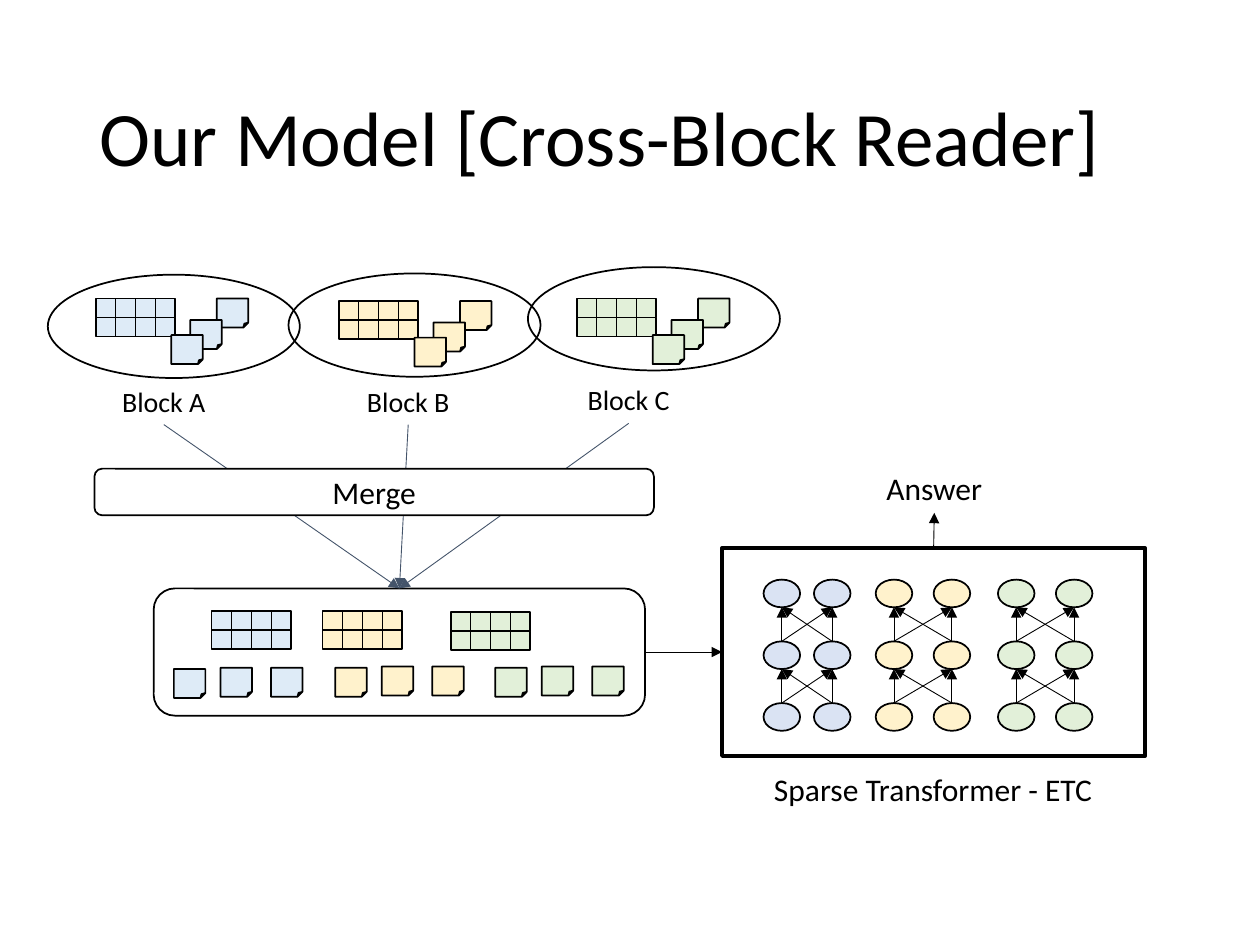
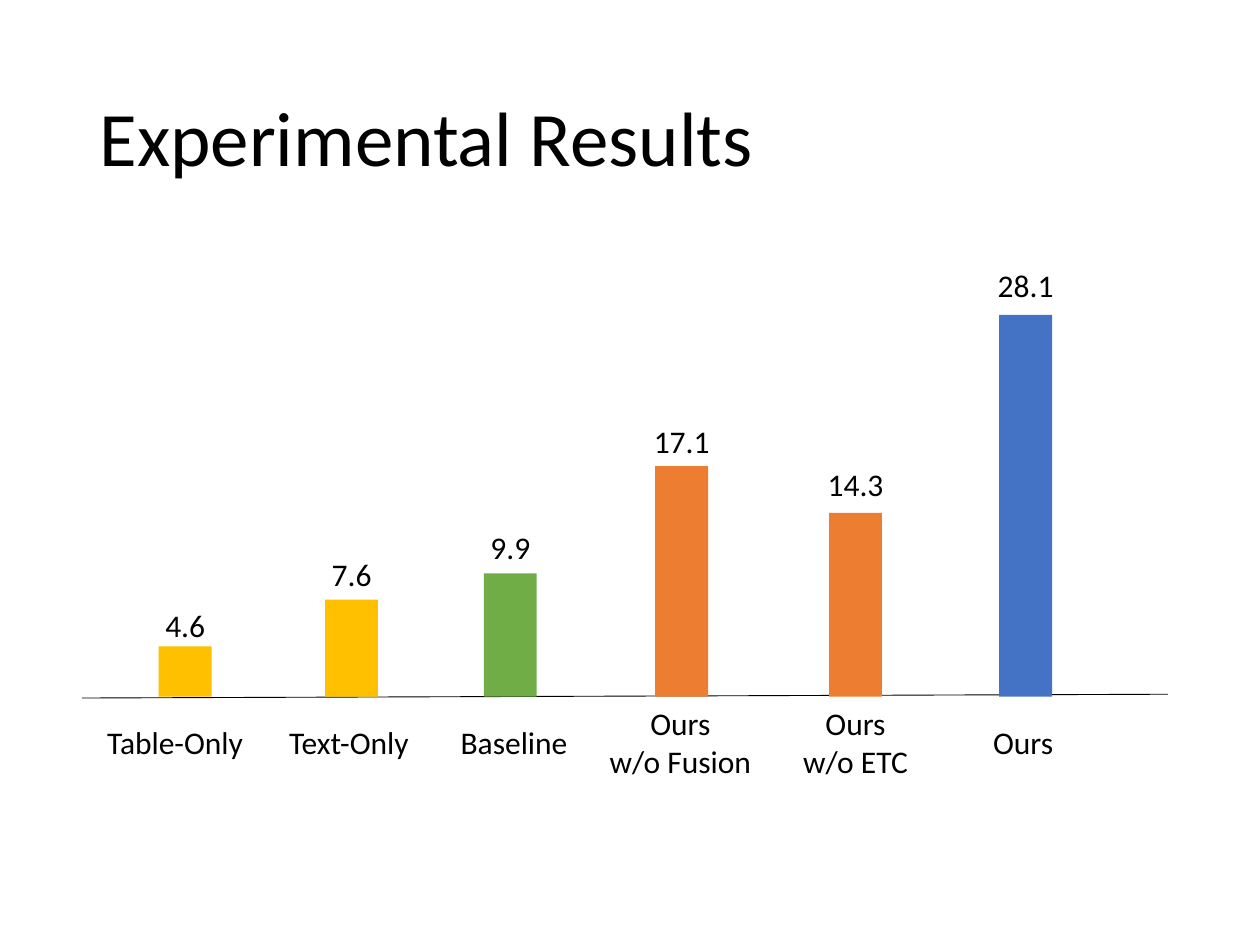
from collections import namedtuple
from itertools import product

from lxml import etree
from pptx import Presentation
from pptx.dml.color import RGBColor
from pptx.enum import shapes, text
from pptx.oxml.ns import qn
from pptx.util import Inches, Pt

BLACK = RGBColor(0, 0, 0)
WHITE = RGBColor(255, 255, 255)
SLATE = RGBColor(0x44, 0x54, 0x6A)
BLUE_TINT = RGBColor(0xDE, 0xEB, 0xF7)
NEURON_BLUE = RGBColor(0xDA, 0xE3, 0xF3)
YELLOW_TINT = RGBColor(0xFF, 0xF2, 0xCC)
GREEN_TINT = RGBColor(0xE2, 0xF0, 0xD9)
GOLD = RGBColor(0xFF, 0xC0, 0x00)
GREEN = RGBColor(0x70, 0xAD, 0x47)
ORANGE = RGBColor(0xED, 0x7D, 0x31)
BLUE = RGBColor(0x44, 0x72, 0xC4)

FONT = "Calibri"
TITLE_SIZE, LABEL_SIZE, BLOCK_LABEL_SIZE = 44, 18, 16
TITLE_AREA = (0.69, 0.4, 8.62, 1.45)
LINE_H = 0.4
TOP, LEFT, BOTTOM, RIGHT = range(4)
SHAPE = shapes.MSO_SHAPE
ALIGN = text.PP_ALIGN
MIDDLE = text.MSO_ANCHOR.MIDDLE

MODEL_TITLE = "Our Model [Cross-Block Reader]"
Block = namedtuple("Block", "name color grid oval label merged_grid merged_notes")
BLOCKS = [
    Block("Block A", BLUE_TINT, grid=(0.76, 2.37), oval=(0.38, 2.18), label=(0.87, 3),
          merged_grid=(1.68, 4.85), merged_notes=(1.38, 5.31)),
    Block("Block B", YELLOW_TINT, grid=(2.69, 2.39), oval=(2.29, 2.17), label=(2.81, 3),
          merged_grid=(2.56, 4.85), merged_notes=(2.66, 5.3)),
    Block("Block C", GREEN_TINT, grid=(4.58, 2.37), oval=(4.19, 2.12), label=(4.56, 2.99),
          merged_grid=(3.58, 4.86), merged_notes=(3.93, 5.3)),
]
OVAL_SIZE = (2, 0.82)
BLOCK_LABEL_SIZE_IN = (0.86, 0.37)
NOTE_SIZE = (0.25, 0.23)
STACKED_NOTES = [(0.96, 0), (0.75, 0.17), (0.6, 0.29)]
ROW_OF_NOTES = [(0.77, -0.01), (0.37, -0.01), (0, 0)]
GRID_W, GRID_ROW_H, GRID_COLUMNS = 0.63, 0.15, 4

MERGE_AREA = (0.75, 3.72, 4.44, 0.37)
MERGED_AREA = (1.22, 4.67, 3.9, 1.01)
TRANSFORMER_AREA = (5.73, 4.35, 3.36, 1.65)
TRANSFORMER_LABEL_AREA = (6.03, 6.06, 2.75, LINE_H)
ANSWER_AREA = (6.93, 3.67, 0.97, LINE_H)

NEURON_PAIRS = [
    (NEURON_BLUE, (6.06, 6.46)),
    (YELLOW_TINT, (6.95, 7.41)),
    (GREEN_TINT, (7.92, 8.38)),
]
NEURON_W, NEURON_H = 0.29, 0.22
NEURON_BOTTOM_ROW, NEURON_ROW_STEP, NEURON_ROW_COUNT = 5.58, 0.49, 3

RESULTS_TITLE = "Experimental Results"
Bar = namedtuple("Bar", "name value color left top value_top name_center name_w")
BARS = [
    Bar(["Table-Only"], "4.6", GOLD, 1.26, 5.13, 4.76, 1.39, 1.29),
    Bar(["Text-Only"], "7.6", GOLD, 2.58, 4.76, 4.36, 2.77, 1.16),
    Bar(["Baseline"], "9.9", GREEN, 3.84, 4.55, 4.14, 4.08, 1.06),
    Bar(["Ours", "w/o Fusion"], "17.1", ORANGE, 5.2, 3.7, 3.3, 5.4, 1.34),
    Bar(["Ours", "w/o ETC"], "14.3", ORANGE, 6.58, 4.07, 3.64, 6.79, 1.04),
    Bar(["Ours"], "28.1", BLUE, 7.93, 2.5, 2.06, 8.12, 0.68),
]
BAR_W, BAR_BOTTOM = 0.42, 5.53
AXIS_START, AXIS_END = (0.65, 5.54), (9.27, 5.51)
VALUE_W = 0.65
NAME_MIDDLE, NAME_LINE_H, NAME_PADDING = 5.89, 0.3, 0.1


def add_text(tf, lines, size, align):
    for i, line in enumerate(lines):
        p = tf.add_paragraph() if i else tf.paragraphs[0]
        p.alignment = align
        r = p.add_run()
        r.text = line
        r.font.size = Pt(size)
        r.font.name = FONT
        r.font.color.rgb = BLACK


def add_slide(prs, title):
    s = prs.slides.add_slide(prs.slide_layouts[5])
    sp = s.shapes.title
    sp.left, sp.top, sp.width, sp.height = map(Inches, TITLE_AREA)
    tf = sp.text_frame
    tf.vertical_anchor = MIDDLE
    add_text(tf, [title], TITLE_SIZE, ALIGN.LEFT)
    tf.paragraphs[0].line_spacing = 0.9
    return s


def add_label(parent, lines, area, size=LABEL_SIZE):
    sp = parent.add_textbox(*map(Inches, area))
    tf = sp.text_frame
    tf.word_wrap = False
    tf.auto_size = text.MSO_AUTO_SIZE.SHAPE_TO_FIT_TEXT
    add_text(tf, lines, size, ALIGN.CENTER)
    return sp


def add_box(parent, kind, area, fill=None, line_width=1):
    sp = parent.add_shape(kind, *map(Inches, area))
    sp.shadow.inherit = False
    if fill is None:
        sp.fill.background()
    else:
        sp.fill.solid()
        sp.fill.fore_color.rgb = fill
    if line_width:
        sp.line.color.rgb = BLACK
        sp.line.width = Pt(line_width)
    else:
        sp.line.fill.background()
    return sp


def add_line(parent, start=(0, 0), end=(0, 0), color=BLACK, arrow=False):
    c = parent.add_connector(shapes.MSO_CONNECTOR.STRAIGHT, *map(Inches, (*start, *end)))
    c.line.color.rgb = color
    c.line.width = Pt(0.5)
    if arrow:
        ln = c._element.spPr.find(qn("a:ln"))
        etree.SubElement(ln, qn("a:tailEnd"), type="triangle")
    etree.SubElement(c._element.spPr, qn("a:effectLst"))
    return c


def join(parent, source, source_side, target, target_side, color=BLACK):
    c = add_line(parent, color=color, arrow=True)
    c.begin_connect(source, source_side)
    c.end_connect(target, target_side)


def add_grid(parent, origin, color):
    x, y = origin
    bottom = y + 2 * GRID_ROW_H
    for row_top in (y + GRID_ROW_H, y):
        add_box(parent, SHAPE.RECTANGLE, (x, row_top, GRID_W, GRID_ROW_H), color)
    add_line(parent, (x, bottom), (x + GRID_W, bottom))
    for i in range(1, GRID_COLUMNS):
        column_x = x + i * GRID_W / GRID_COLUMNS
        add_line(parent, (column_x, y), (column_x, bottom))


def add_notes(parent, origin, offsets, color):
    x, y = origin
    for dx, dy in offsets:
        add_box(parent, SHAPE.FOLDED_CORNER, (x + dx, y + dy, *NOTE_SIZE), color)


def add_block(parent, block):
    group = parent.add_group_shape().shapes
    add_grid(group, block.grid, block.color)
    add_notes(group, block.grid, STACKED_NOTES, block.color)
    add_box(group, SHAPE.OVAL, (*block.oval, *OVAL_SIZE))
    return add_label(parent, [block.name], (*block.label, *BLOCK_LABEL_SIZE_IN),
                     BLOCK_LABEL_SIZE)


def add_merged_blocks(parent):
    group = parent.add_group_shape().shapes
    for block in BLOCKS:
        add_grid(group, block.merged_grid, block.color)
        add_notes(group, block.merged_notes, ROW_OF_NOTES, block.color)
    return add_box(group, SHAPE.ROUNDED_RECTANGLE, MERGED_AREA)


def add_merge_step(parent):
    sp = add_box(parent, SHAPE.ROUNDED_RECTANGLE, MERGE_AREA, WHITE)
    sp.text_frame.vertical_anchor = MIDDLE
    add_text(sp.text_frame, ["Merge"], LABEL_SIZE, ALIGN.CENTER)


def add_transformer(parent):
    rows = [NEURON_BOTTOM_ROW - i * NEURON_ROW_STEP for i in range(NEURON_ROW_COUNT)]
    for color, columns in NEURON_PAIRS:
        for x, y in product(columns, rows):
            add_box(parent, SHAPE.OVAL, (x, y, NEURON_W, NEURON_H), color)
        centers = [x + NEURON_W / 2 for x in columns]
        for lower, upper in zip(rows, rows[1:]):
            for start_x, end_x in product(centers, centers):
                add_line(parent, (start_x, lower), (end_x, upper + NEURON_H), arrow=True)
    return add_box(parent, SHAPE.RECTANGLE, TRANSFORMER_AREA, line_width=2)


def build_model(prs):
    parent = add_slide(prs, MODEL_TITLE).shapes
    labels = [add_block(parent, block) for block in BLOCKS]
    merged = add_merged_blocks(parent)
    for label in labels:
        join(parent, label, BOTTOM, merged, TOP, SLATE)
    add_merge_step(parent)
    transformer = add_transformer(parent)
    add_label(parent, ["Sparse Transformer - ETC"], TRANSFORMER_LABEL_AREA)
    answer = add_label(parent, ["Answer"], ANSWER_AREA)
    join(parent, merged, RIGHT, transformer, LEFT)
    join(parent, transformer, TOP, answer, BOTTOM)


def add_bar(parent, bar):
    bar_area = (bar.left, bar.top, BAR_W, BAR_BOTTOM - bar.top)
    add_box(parent, SHAPE.RECTANGLE, bar_area, bar.color, line_width=0)
    value_left = bar.left + (BAR_W - VALUE_W) / 2
    add_label(parent, [bar.value], (value_left, bar.value_top, VALUE_W, LINE_H))
    name_h = NAME_LINE_H * len(bar.name) + NAME_PADDING
    name_left = bar.name_center - bar.name_w / 2
    add_label(parent, bar.name, (name_left, NAME_MIDDLE - name_h / 2, bar.name_w, name_h))


def build_results(prs):
    parent = add_slide(prs, RESULTS_TITLE).shapes
    add_line(parent, AXIS_START, AXIS_END)
    for bar in BARS:
        add_bar(parent, bar)


def main():
    prs = Presentation()
    prs.slide_width, prs.slide_height = Inches(10), Inches(7.5)
    build_model(prs)
    build_results(prs)
    prs.save("out.pptx")


if __name__ == "__main__":
    main()
